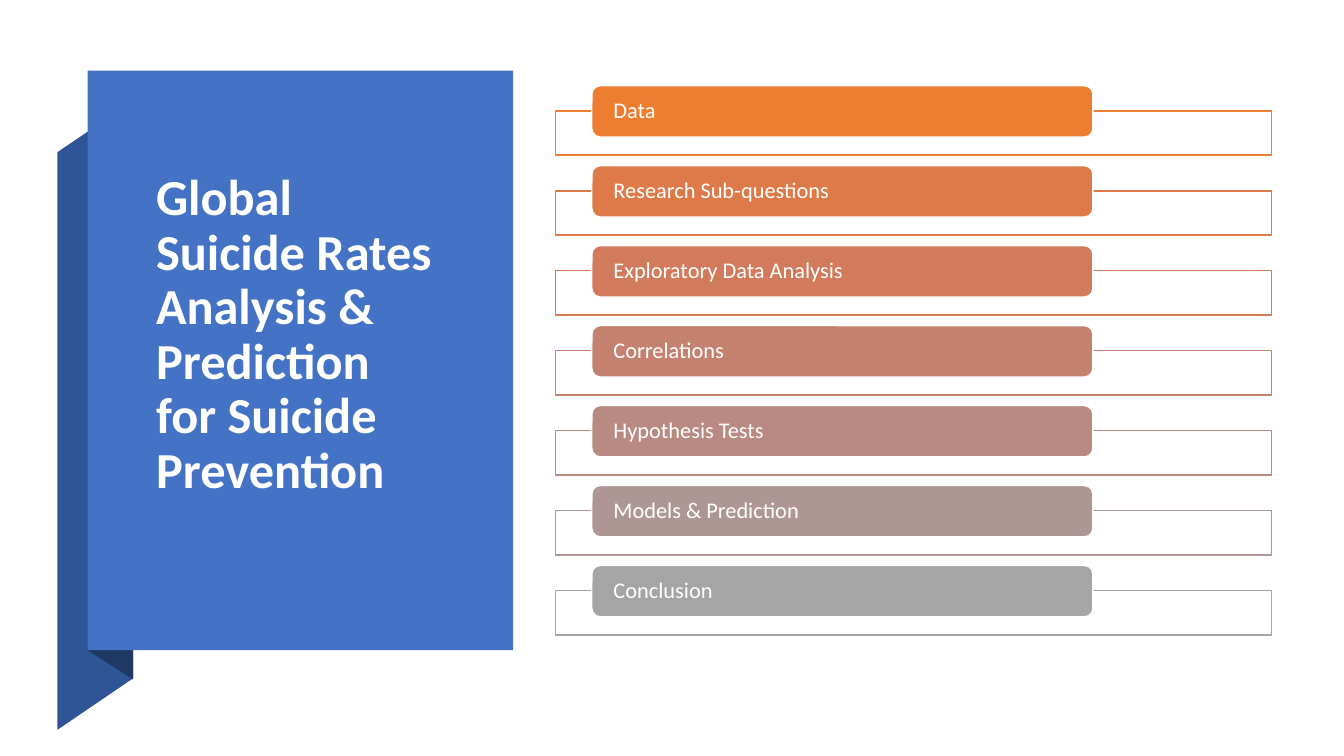
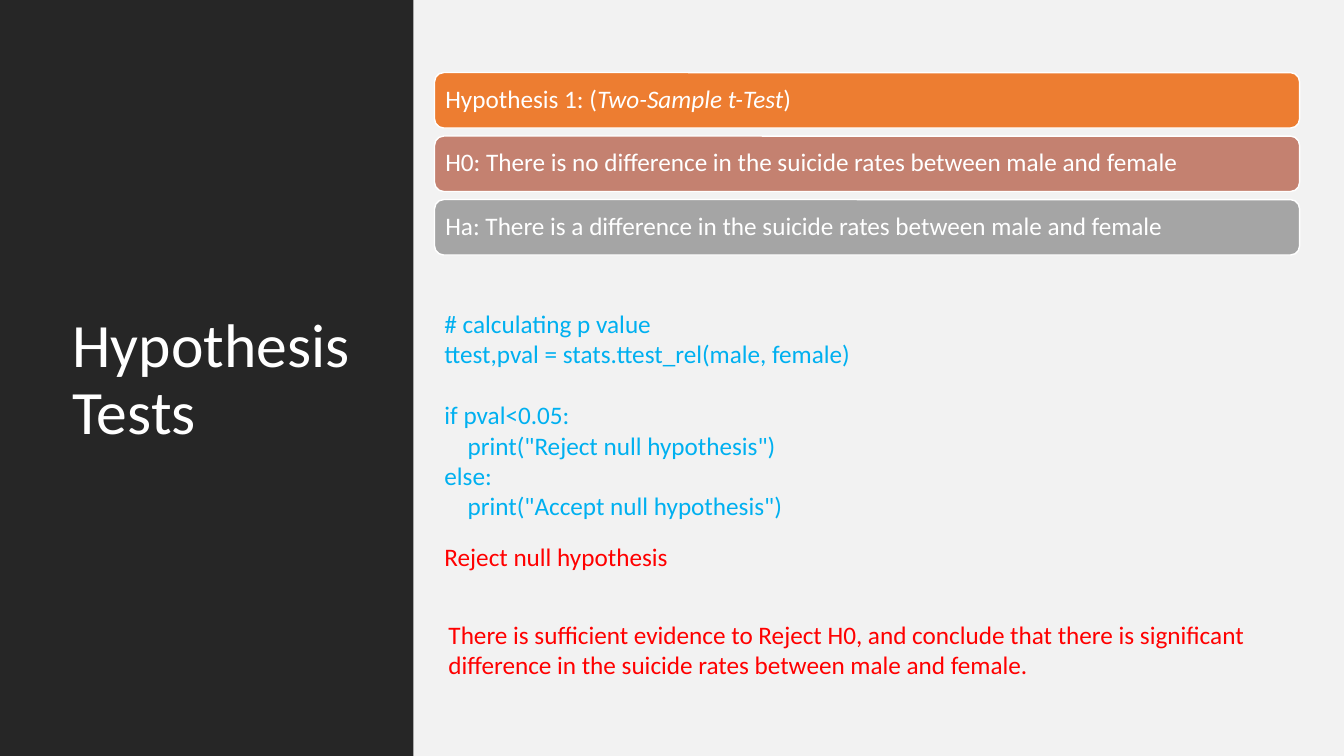
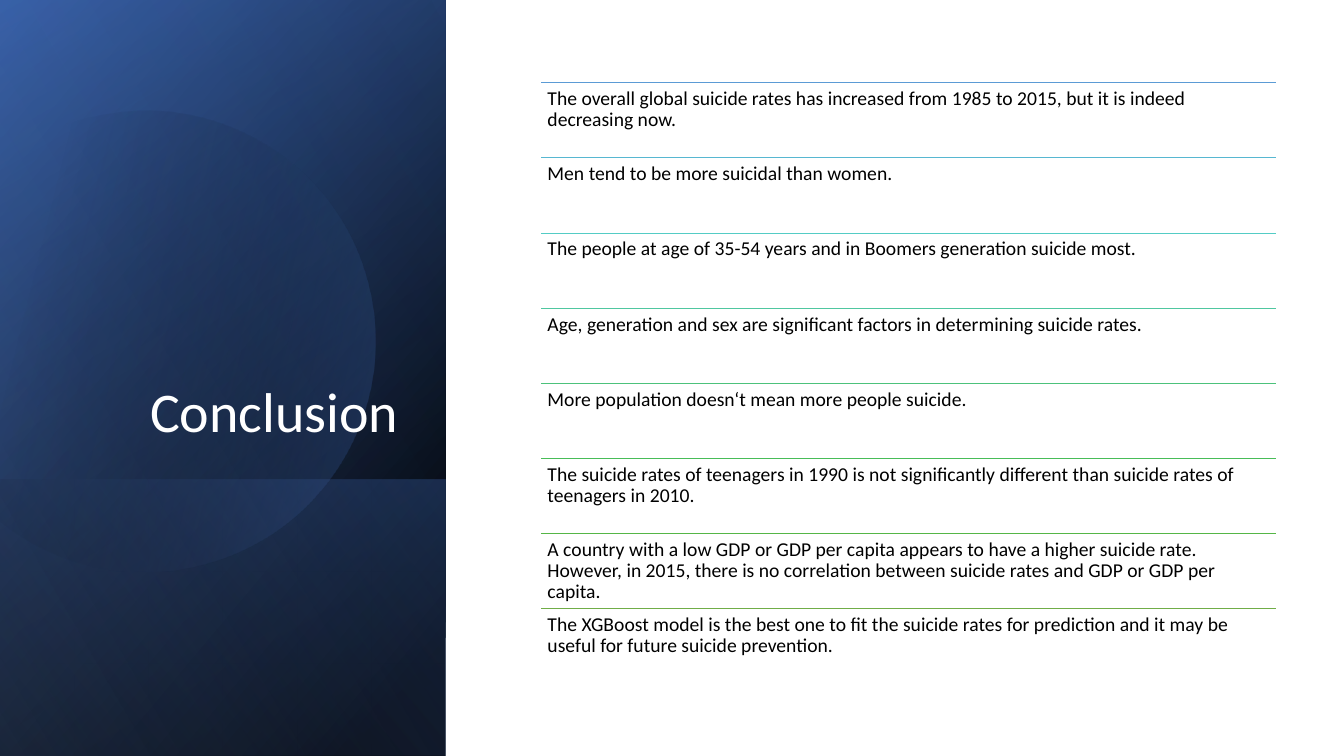
"""Build three slides on global suicide rates: agenda, hypothesis tests and conclusion."""
from dataclasses import dataclass
from math import cos, radians, sin
from typing import NamedTuple, Optional, Sequence

from lxml import etree
from pptx import Presentation
from pptx.dml.color import RGBColor
from pptx.enum.shapes import MSO_CONNECTOR, MSO_SHAPE
from pptx.enum.text import MSO_ANCHOR, PP_ALIGN
from pptx.oxml.ns import qn
from pptx.shapes.autoshape import Shape
from pptx.slide import Slide
from pptx.text.text import TextFrame
from pptx.util import Inches, Pt

RECTANGLE = MSO_SHAPE.RECTANGLE
ROUNDED = MSO_SHAPE.ROUNDED_RECTANGLE
STRAIGHT = MSO_CONNECTOR.STRAIGHT
TOP, MIDDLE, BOTTOM = MSO_ANCHOR.TOP, MSO_ANCHOR.MIDDLE, MSO_ANCHOR.BOTTOM
LEFT, RIGHT = PP_ALIGN.LEFT, PP_ALIGN.RIGHT


@dataclass(frozen=True)
class Theme:
    """Colours, font and type sizes of the deck."""
    font: str = "Calibri"
    white: str = "FFFFFF"
    black: str = "000000"
    charcoal: str = "262626"
    mist: str = "F2F2F2"
    blue: str = "4472C4"
    deep_blue: str = "2F5597"
    navy: str = "203864"
    pale_blue: str = "8FAADC"
    code: str = "00B0F0"
    result: str = "FF0000"
    warm_to_grey: tuple[str, ...] = (
        "ED7D31", "DE7A47", "D17B5C", "C48170", "B98A82", "AE9694", "A5A5A5")
    blue_to_green: tuple[str, ...] = (
        "5B9BD5", "57B7D1", "53CCC5", "4FC7A0", "4CC27B", "48BD58", "55B646", "70AD47")
    agenda_title: int = 36
    test_title: int = 44
    conclusion_title: int = 40
    agenda: int = 16
    test: int = 18
    finding: int = 14
    tight: float = 0.9


THEME = Theme()


class Point(NamedTuple):
    """A place in inches."""
    x: float
    y: float


class Box(NamedTuple):
    """A frame in inches."""
    left: float
    top: float
    width: float
    height: float

    def emu(self) -> list[int]:
        """Return the frame as lengths."""
        return [Inches(value) for value in self]

    def corners(self) -> list[Point]:
        """Return the four corners in drawing order."""
        right, bottom = self.left + self.width, self.top + self.height
        return [Point(self.left, self.top), Point(right, self.top),
                Point(right, bottom), Point(self.left, bottom)]


class Words(NamedTuple):
    """One run of text."""
    text: str
    italic: bool = False


class Line(NamedTuple):
    """One paragraph with its indent in inches and its gap above in points."""
    runs: tuple[Words, ...]
    indent: float = 0
    gap: float = 0


class Stop(NamedTuple):
    """One gradient stop; position and opacity are percentages."""
    position: int
    color: str
    opacity: int = 100


@dataclass(frozen=True)
class Style:
    """How a block of text is set."""
    size: int
    color: str = THEME.white
    bold: bool = False
    align: PP_ALIGN = LEFT
    anchor: MSO_ANCHOR = TOP
    inset_x: float = 0.1
    inset_y: float = 0.05
    tail: float = 0
    spacing: float = THEME.tight


@dataclass(frozen=True)
class Panel:
    """An upright gradient panel."""
    box: Box
    stops: tuple[Stop, Stop]
    angle: int


def plain(text: str) -> Line:
    """Return a paragraph of one upright run."""
    return Line((Words(text),))


def write(frame: TextFrame, lines: Sequence[Line], style: Style) -> None:
    """Fill a text frame run by run."""
    frame.word_wrap = True
    frame.vertical_anchor = style.anchor
    frame.margin_left = frame.margin_right = Inches(style.inset_x)
    frame.margin_top = Inches(style.inset_y)
    frame.margin_bottom = Inches(style.inset_y + style.tail)
    for index, line in enumerate(lines):
        paragraph = frame.add_paragraph() if index else frame.paragraphs[0]
        paragraph.alignment = style.align
        paragraph.line_spacing = style.spacing
        paragraph.space_before = Pt(line.gap)
        if line.indent:
            paragraph._p.get_or_add_pPr().set("marL", str(Inches(line.indent)))
        for words in line.runs:
            run = paragraph.add_run()
            run.text = words.text
            run.font.name = THEME.font
            run.font.size = Pt(style.size)
            run.font.bold = style.bold
            run.font.italic = words.italic
            run.font.color.rgb = RGBColor.from_string(style.color)


def add_text(slide: Slide, box: Box, lines: Sequence[Line], style: Style) -> None:
    """Add a text box."""
    write(slide.shapes.add_textbox(*box.emu()).text_frame, lines, style)


def paint(shape: Shape, fill: str, outline: Optional[str] = None) -> None:
    """Give a shape a solid fill and an optional one-point outline."""
    shape.shadow.inherit = False
    shape.fill.solid()
    shape.fill.fore_color.rgb = RGBColor.from_string(fill)
    if outline:
        shape.line.color.rgb = RGBColor.from_string(outline)
        shape.line.width = Pt(1)
    else:
        shape.line.fill.background()


def set_opacity(shape: Shape, opacities: Sequence[int]) -> None:
    """Set the opacity of each fill colour in turn."""
    fill = shape._element.spPr.find(qn("a:gradFill"))
    if fill is None:
        fill = shape._element.spPr.find(qn("a:solidFill"))
    for color, opacity in zip(fill.iter(qn("a:srgbClr")), opacities):
        etree.SubElement(color, qn("a:alpha")).set("val", str(opacity * 1000))


def paint_gradient(shape: Shape, stops: Sequence[Stop], angle: int) -> None:
    """Fill a shape with a linear gradient whose angle runs clockwise."""
    shape.shadow.inherit = False
    shape.line.fill.background()
    shape.fill.gradient()
    shape.fill.gradient_angle = 360 - angle
    for target, stop in zip(shape.fill.gradient_stops, stops):
        target.position = stop.position / 100
        target.color.rgb = RGBColor.from_string(stop.color)
    set_opacity(shape, [stop.opacity for stop in stops])


def add_block(slide: Slide, kind: MSO_SHAPE, box: Box, fill: str,
              outline: Optional[str] = None) -> Shape:
    """Add a solid preset shape."""
    block = slide.shapes.add_shape(kind, *box.emu())
    paint(block, fill, outline)
    return block


def add_outline(slide: Slide, points: Sequence[Point]) -> Shape:
    """Add a closed polygon."""
    corners = [(Inches(x), Inches(y)) for x, y in points]
    builder = slide.shapes.build_freeform(*corners[0])
    builder.add_line_segments(corners[1:], close=True)
    return builder.convert_to_shape()


def add_curve(slide: Slide, box: Box, turn: float,
              segments: Sequence[tuple[Point, ...]]) -> Shape:
    """Add a turned closed outline of moves, lines and curves given as they appear."""
    shape = add_outline(slide, box.corners())
    shape.rotation = turn
    trace = next(shape._element.iter(qn("a:path")))
    for child in list(trace):
        trace.remove(child)
    across, down = cos(radians(turn)), sin(radians(turn))
    middle_x, middle_y = box.left + box.width / 2, box.top + box.height / 2
    for index, points in enumerate(segments):
        tag = "a:cubicBezTo" if len(points) == 3 else "a:lnTo" if index else "a:moveTo"
        segment = etree.SubElement(trace, qn(tag))
        for point in points:
            x, y = point.x - middle_x, point.y - middle_y
            local = etree.SubElement(segment, qn("a:pt"))
            local.set("x", str(Inches(x * across + y * down + box.width / 2)))
            local.set("y", str(Inches(y * across - x * down + box.height / 2)))
    etree.SubElement(trace, qn("a:close"))
    return shape


def add_panel(slide: Slide, panel: Panel) -> None:
    """Add a gradient panel as a mirrored shape turned by a quarter."""
    left, top, width, height = panel.box
    shift = (width - height) / 2
    turned = Box(left + shift, top - shift, height, width)
    shape = slide.shapes.add_shape(RECTANGLE, *turned.emu())
    shape.rotation = 90
    shape._element.spPr.find(qn("a:xfrm")).set("flipH", "1")
    paint_gradient(shape, panel.stops, panel.angle)


def build_agenda(slide: Slide) -> None:
    """Draw the ribbon title and the list of topics."""
    topics = ("Data", "Research Sub-questions", "Exploratory Data Analysis", "Correlations",
              "Hypothesis Tests", "Models & Prediction", "Conclusion")
    ribbon = [Point(0.57, 7.24), Point(1.32, 6.73), Point(1.32, 1), Point(0.57, 1.51)]
    fold = [Point(0.88, 6.46), Point(1.32, 6.74), Point(1.32, 0.99), Point(0.88, 0.7)]
    for points, color in ((ribbon, THEME.deep_blue), (fold, THEME.navy)):
        paint(add_outline(slide, points), color)
    add_block(slide, RECTANGLE, Box(0.87, 0.7, 4.22, 5.75), THEME.blue)
    add_text(slide, Box(1.45, 1.67, 3.01, 3.94),
             [plain("Global Suicide Rates Analysis & Prediction for Suicide Prevention")],
             Style(THEME.agenda_title, bold=True, anchor=MIDDLE, tail=0.62))

    first, last = 0.85, 5.61
    pitch = (last - first) / (len(topics) - 1)
    style = Style(THEME.agenda, anchor=MIDDLE, inset_x=0.19, inset_y=0)
    for index, (topic, color) in enumerate(zip(topics, THEME.warm_to_grey)):
        top = first + index * pitch
        tray = add_block(slide, RECTANGLE, Box(5.51, top + 0.25, 7.1, 0.44), THEME.white, color)
        set_opacity(tray, [90])
        label = add_block(slide, ROUNDED, Box(5.87, top, 4.97, 0.51), color, THEME.white)
        write(label.text_frame, [plain(topic)], style)


def build_tests(slide: Slide) -> None:
    """Draw the hypotheses, the test code and its result."""
    hypotheses = (
        Line((Words("Hypothesis 1: ("), Words("Two-Sample t-Test", True), Words(")"))),
        plain("H0: There is no difference in the suicide rates between male and female"),
        plain("Ha: There is a difference in the suicide rates between male and female"),
    )
    code = (
        plain("# calculating p value"),
        plain("ttest,pval = stats.ttest_rel(male, female)"),
        Line((Words("if pval<0.05:"),), gap=22),
        Line((Words('print("Reject null hypothesis")'),), indent=0.23),
        plain("else:"),
        Line((Words('print("Accept null hypothesis")'),), indent=0.23),
    )
    add_block(slide, RECTANGLE, Box(4.09, 0, 9.24, 7.5), THEME.mist)
    add_block(slide, RECTANGLE, Box(0, 0, 4.1, 7.5), THEME.charcoal)
    add_text(slide, Box(0.62, 3.07, 4.17, 4), [plain("Hypothesis Tests")],
             Style(THEME.test_title))

    style = Style(THEME.test, anchor=MIDDLE, inset_x=0.08)
    for index, (hypothesis, color) in enumerate(zip(hypotheses, THEME.warm_to_grey[::3])):
        bar = add_block(slide, ROUNDED, Box(4.31, 0.72 + index * 0.63, 8.58, 0.55),
                        color, THEME.white)
        write(bar.text_frame, [hypothesis], style)

    add_text(slide, Box(4.31, 3.01, 7.77, 2.22), code,
             Style(THEME.test, THEME.code, spacing=1.0))
    result = Style(THEME.test, THEME.result, spacing=1.0)
    add_text(slide, Box(4.31, 5.32, 3.95, 0.4), [plain("Reject null hypothesis")], result)
    add_text(slide, Box(4.35, 6.09, 8.4, 0.71),
             [plain("There is sufficient evidence to Reject H0, and conclude that there is "
                    "significant difference in the suicide rates between male and female.")],
             result)


def build_conclusion(slide: Slide) -> None:
    """Draw the gradient side panel and the ruled findings."""
    findings = (
        "The overall global suicide rates has increased from 1985 to 2015, but it is indeed "
        "decreasing now.",
        "Men tend to be more suicidal than women.",
        "The people at age of 35-54 years and in Boomers generation suicide most.",
        "Age, generation and sex are significant factors in determining suicide rates.",
        "More population doesn‘t mean more people suicide.",
        "The suicide rates of teenagers in 1990 is not significantly different than suicide "
        "rates of teenagers in 2010.",
        "A country with a low GDP or GDP per capita appears to have a higher suicide rate. "
        "However, in 2015, there is no correlation between suicide rates and GDP or GDP per "
        "capita.",
        "The XGBoost model is the best one to fit the suicide rates for prediction and it may "
        "be useful for future suicide prevention.",
    )
    side = Box(0, 0, 4.42, 7.5)
    foot = Box(0, 4.76, 4.42, 2.74)
    clear = Stop(0, THEME.black, 0)
    backdrop = (
        Panel(side, (Stop(8, THEME.black), Stop(100, THEME.deep_blue)), 50),
        Panel(side, (clear, Stop(99, THEME.blue, 46)), 30),
        Panel(foot, (Stop(2, THEME.blue, 29), Stop(100, THEME.black, 30)), 130),
    )
    for panel in backdrop:
        add_panel(slide, panel)

    disc = (
        (Point(1.49, 1.1),),
        (Point(2.46, 1.12), Point(3.35, 1.77), Point(3.63, 2.75)),
        (Point(3.98, 3.97), Point(3.28, 5.23), Point(2.07, 5.58)),
        (Point(1.31, 5.8), Point(0.53, 5.61), Point(-0.03, 5.14)),
        (Point(-0.15, 5.03),),
        (Point(-0.15, 1.75),),
        (Point(0, 1.61),),
        (Point(0.23, 1.42), Point(0.5, 1.28), Point(0.8, 1.19)),
        (Point(1.03, 1.13), Point(1.26, 1.1), Point(1.49, 1.1)),
    )
    paint_gradient(add_curve(slide, Box(-0.55, 1.06, 4.27, 4.57), 343.9, disc),
                   (Stop(29, THEME.black, 0), Stop(100, THEME.blue, 43)), 30)
    add_panel(slide, Panel(side, (clear, Stop(99, THEME.pale_blue, 11)), 120))
    add_text(slide, Box(0.64, 1.84, 3.41, 2.62), [plain("Conclusion")],
             Style(THEME.conclusion_title, align=RIGHT, anchor=BOTTOM))

    left, first, width, last = 5.37, 0.82, 7.29, 6.04
    pitch = (last - first) / (len(findings) - 1)
    style = Style(THEME.finding, THEME.black, inset_x=0.06, inset_y=0.06)
    for index, (finding, color) in enumerate(zip(findings, THEME.blue_to_green)):
        top = first + index * pitch
        rule = slide.shapes.add_connector(
            STRAIGHT, Inches(left), Inches(top), Inches(left + width), Inches(top))
        rule.line.color.rgb = RGBColor.from_string(color)
        rule.line.width = Pt(0.5)
        etree.SubElement(rule._element.spPr, qn("a:effectLst"))
        add_text(slide, Box(left, top, width, pitch), [plain(finding)], style)


def main() -> None:
    """Build and save the deck."""
    deck = Presentation()
    deck.slide_width, deck.slide_height = Inches(13.33), Inches(7.5)
    for build in (build_agenda, build_tests, build_conclusion):
        build(deck.slides.add_slide(deck.slide_layouts[6]))
    deck.save("out.pptx")


if __name__ == "__main__":
    main()
